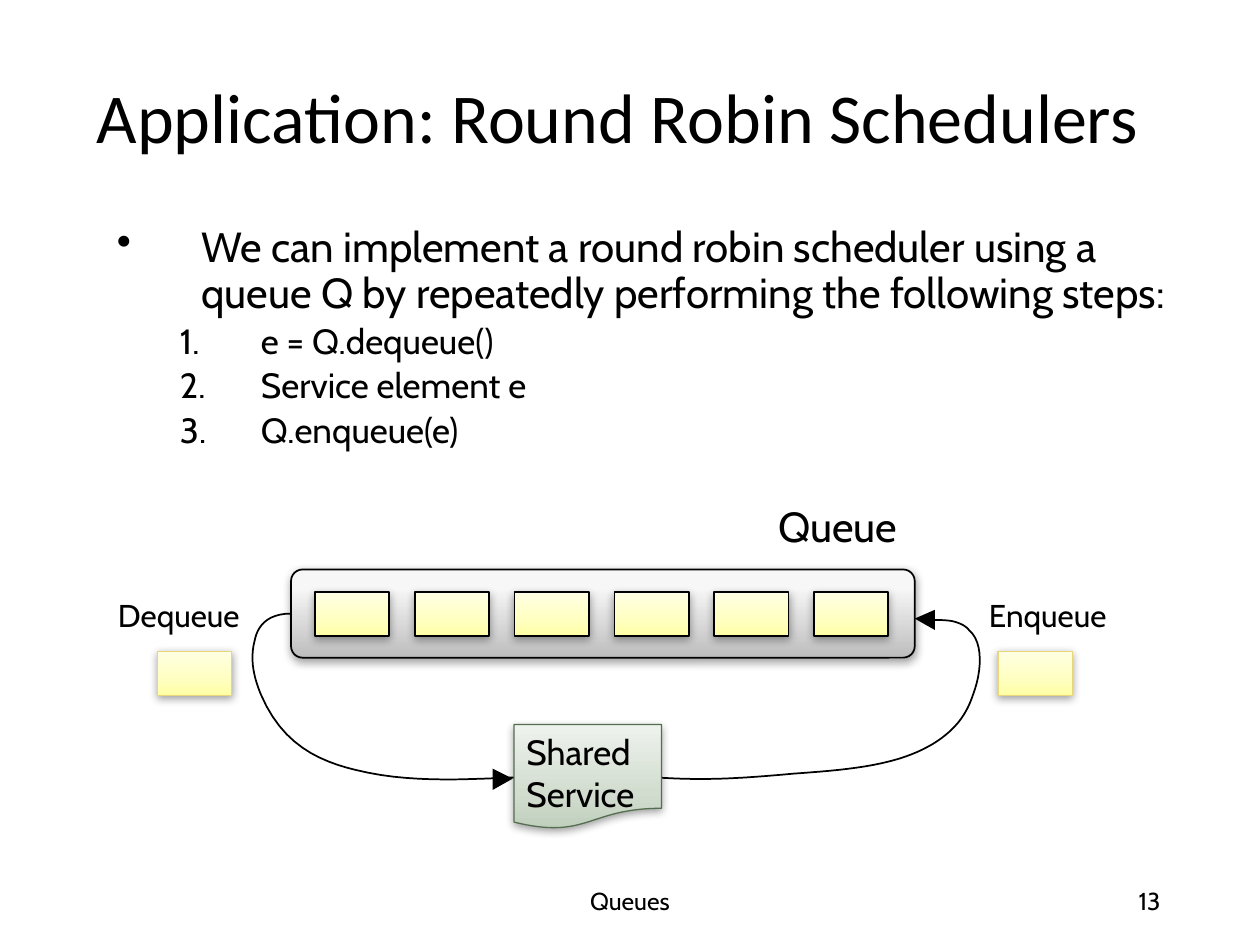
from dataclasses import dataclass

from lxml import etree
from pptx import Presentation
from pptx.dml.color import RGBColor
from pptx.enum.shapes import MSO_SHAPE
from pptx.enum.text import MSO_ANCHOR, PP_ALIGN
from pptx.oxml.ns import qn
from pptx.util import Inches, Pt

LEFT, CENTER, RIGHT = PP_ALIGN.LEFT, PP_ALIGN.CENTER, PP_ALIGN.RIGHT
TOP, MIDDLE = MSO_ANCHOR.TOP, MSO_ANCHOR.MIDDLE
RECTANGLE, ROUNDED = MSO_SHAPE.RECTANGLE, MSO_SHAPE.ROUNDED_RECTANGLE
DOCUMENT = MSO_SHAPE.FLOWCHART_DOCUMENT


@dataclass(frozen=True)
class Theme:
    heading_font: str = "Calibri"
    text_font: str = "Cabin"
    title: Pt = Pt(40)
    body: Pt = Pt(24)
    step: Pt = Pt(20)
    label: Pt = Pt(18)
    footer: Pt = Pt(14)
    ink: RGBColor = RGBColor(0, 0, 0)
    item_edge: RGBColor = RGBColor(0xE9, 0xD5, 0x7C)
    service_edge: RGBColor = RGBColor(0x54, 0x6E, 0x4F)
    # Gradient stops run from the bottom edge to the top edge.
    queue_fill: tuple = ((0, "BDBDBD"), (80, "F7F7F7"), (100, "F8F8F8"))
    item_fill: tuple = ((0, "FFFFA5"), (35, "FFFFBF"), (100, "FFFFE4"))
    service_fill: tuple = ((0, "BFCFBC"), (35, "D2DDD0"), (100, "EEF2ED"))


THEME = Theme()

prs = Presentation()
prs.slide_width, prs.slide_height = Inches(10), Inches(7.5)
slide = prs.slides.add_slide(prs.slide_layouts[6])
shapes = slide.shapes


def add_panel(kind, box, stops, edge, edge_width):
    """Add a shape with a vertical gradient and a soft shadow below it."""
    panel = shapes.add_shape(kind, *map(Inches, box))
    panel.fill.gradient()
    panel.fill.gradient_angle = 90
    stop_list = panel._element.spPr.find(".//" + qn("a:gsLst"))
    stop_list.clear()
    for percent, color in stops:
        stop = etree.SubElement(stop_list, qn("a:gs"), pos=str(percent * 1000))
        etree.SubElement(stop, qn("a:srgbClr"), val=color)
    panel.line.color.rgb = edge
    panel.line.width = Pt(edge_width)
    panel.shadow.inherit = False
    effects = panel._element.spPr.find(qn("a:effectLst"))
    shadow = etree.SubElement(effects, qn("a:outerShdw"), blurRad=str(Pt(5)),
                              dist=str(Pt(1.7)), dir="5400000", rotWithShape="0")
    shadow_color = etree.SubElement(shadow, qn("a:srgbClr"), val="000000")
    etree.SubElement(shadow_color, qn("a:alpha"), val="37000")
    return panel


def bezier_points(start, *segments, steps=12):
    """Return points along cubic segments, each (control, control, end)."""
    points = [start]
    for segment in segments:
        p0, (p1, p2, p3) = points[-1], segment
        for i in range(1, steps + 1):
            t = i / steps
            u = 1 - t
            points.append(tuple(
                u**3 * a + 3 * u * u * t * b + 3 * u * t * t * c + t**3 * d
                for a, b, c, d in zip(p0, p1, p2, p3)))
    return points


# Title, diagram labels and footer
labels = [
    ("Application: Round Robin Schedulers", (0.67, 0.33, 8.5, 1.25),
     THEME.heading_font, THEME.title, LEFT, MIDDLE),
    ("13", (7.06, 6.95, 2.25, 0.4), THEME.text_font, THEME.footer, RIGHT, MIDDLE),
    ("Queues", (3.31, 6.95, 3.38, 0.4), THEME.text_font, THEME.footer, CENTER, MIDDLE),
    ("Queue", (6.08, 3.92, 1.17, 0.51), THEME.text_font, THEME.body, LEFT, TOP),
    ("Enqueue", (7.75, 4.68, 2.08, 0.4), THEME.text_font, THEME.label, LEFT, TOP),
    ("Dequeue", (0.17, 4.68, 1.83, 0.4), THEME.text_font, THEME.label, RIGHT, TOP),
]
for text, box, font, size, align, anchor in labels:
    frame = shapes.add_textbox(*map(Inches, box)).text_frame
    frame.word_wrap = True
    frame.vertical_anchor = anchor
    paragraph = frame.paragraphs[0]
    paragraph.text = text
    paragraph.alignment = align
    paragraph.font.name, paragraph.font.size = font, size
    paragraph.font.color.rgb = THEME.ink
    if size == THEME.title:
        paragraph.line_spacing = 0.9

# Body: one bullet followed by numbered steps
outline = [
    (0, "We can implement a round robin scheduler using a queue Q "
        "by repeatedly performing the following steps:"),
    (1, " e = Q.dequeue()"),
    (1, " Service element e"),
    (1, " Q.enqueue(e)"),
]
levels = [
    # size, space before, left margin, hanging indent, bullet tag, bullet attributes
    (THEME.body, 7.5, 0.67, 0.67, "a:buChar", {"char": "•"}),
    (THEME.step, 3.8, 1.08, 0.58, "a:buAutoNum", {"type": "arabicPeriod"}),
]
body = shapes.add_textbox(*map(Inches, (0.83, 1.75, 8.75, 2.67))).text_frame
body.word_wrap = True
for i, (level, text) in enumerate(outline):
    size, space, margin, hanging, bullet_tag, bullet = levels[level]
    paragraph = body.add_paragraph() if i else body.paragraphs[0]
    paragraph.text = text
    paragraph.level = level
    paragraph.line_spacing = 0.9
    paragraph.space_before = Pt(space)
    paragraph.font.name, paragraph.font.size = THEME.text_font, size
    paragraph.font.color.rgb = THEME.ink
    properties = paragraph._p.get_or_add_pPr()
    properties.set("marL", str(Inches(margin)))
    properties.set("indent", str(-Inches(hanging)))
    properties.insert_element_before(
        properties.makeelement(qn(bullet_tag), bullet), "a:tabLst", "a:defRPr")

# Queue with its elements, and the elements leaving and entering
queue = add_panel(ROUNDED, (2.31, 4.52, 4.95, 0.7), THEME.queue_fill, THEME.ink, 1)
queue.adjustments[0] = 0.13
ITEM_SIZE = (0.59, 0.35)
ITEM_COUNT, FIRST_X, LAST_X = 6, 2.5, 6.46
pitch = (LAST_X - FIRST_X) / (ITEM_COUNT - 1)
for i in range(ITEM_COUNT):
    add_panel(RECTANGLE, (FIRST_X + i * pitch, 4.7, *ITEM_SIZE),
              THEME.item_fill, THEME.ink, 1)
for x in (1.25, 7.92):
    add_panel(RECTANGLE, (x, 5.17, *ITEM_SIZE), THEME.item_fill, THEME.item_edge, 0.75)

# Curved routes and their arrowheads
dequeue_route = bezier_points(
    (2.31, 4.87),
    ((2.11, 4.87), (2.04, 4.98), (2.02, 5.09)),
    ((1.98, 5.24), (2.02, 5.39), (2.07, 5.51)),
    ((2.24, 5.91), (2.53, 6.04), (2.82, 6.11)),
    ((3.22, 6.21), (3.63, 6.19), (4.08, 6.17)))
enqueue_route = bezier_points(
    (5.19, 6.17),
    ((5.38, 6.18), (5.4, 6.18), (5.42, 6.18)),
    ((5.69, 6.19), (5.97, 6.17), (6.3, 6.14)),
    ((6.57, 6.12), (6.88, 6.1), (7.14, 6.02)),
    ((7.33, 5.96), (7.49, 5.87), (7.6, 5.74)),
    ((7.65, 5.68), (7.69, 5.61), (7.72, 5.52)),
    ((7.79, 5.34), (7.81, 5.1), (7.69, 5)),
    ((7.66, 4.96), (7.6, 4.94), (7.56, 4.93)),
    ((7.5, 4.92), (7.45, 4.92), (7.37, 4.92)))
dequeue_head = [(3.91, 6.27), (4.07, 6.18), (3.91, 6.1)]
enqueue_head = [(7.42, 5), (7.26, 4.91), (7.42, 4.84)]
for points, is_head in ((dequeue_route, False), (enqueue_route, False),
                        (dequeue_head, True), (enqueue_head, True)):
    start, *rest = [(Inches(x), Inches(y)) for x, y in points]
    builder = shapes.build_freeform(*start)
    builder.add_line_segments(rest, close=is_head)
    outline_shape = builder.convert_to_shape()
    outline_shape.shadow.inherit = False
    if is_head:
        outline_shape.fill.solid()
        outline_shape.fill.fore_color.rgb = THEME.ink
        outline_shape.line.fill.background()
    else:
        outline_shape.fill.background()
        outline_shape.line.color.rgb = THEME.ink
        outline_shape.line.width = Pt(1)

# Shared service
service = add_panel(DOCUMENT, (4.08, 5.75, 1.17, 0.83),
                    THEME.service_fill, THEME.service_edge, 0.75)
service.text_frame.word_wrap = False
service.text_frame.vertical_anchor = TOP
service_name = service.text_frame.paragraphs[0]
service_name.text = "Shared\vService"
service_name.alignment = LEFT
service_name.font.name, service_name.font.size = THEME.text_font, THEME.step
service_name.font.color.rgb = THEME.ink

prs.save("out.pptx")
